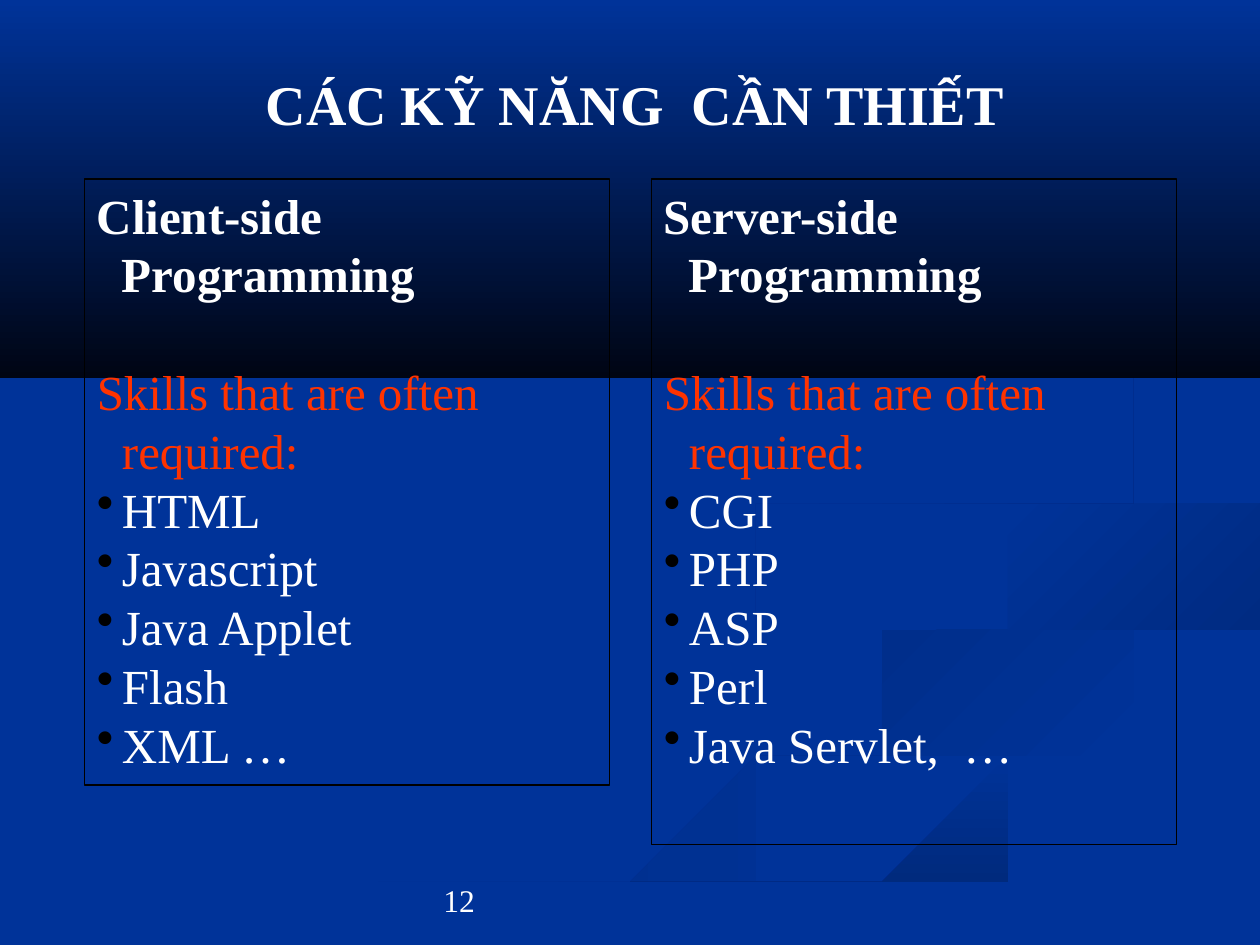
from lxml import etree
from pptx import Presentation
from pptx.dml.color import RGBColor
from pptx.enum.shapes import MSO_SHAPE
from pptx.enum.text import MSO_ANCHOR, PP_ALIGN
from pptx.oxml.ns import qn
from pptx.util import Inches, Pt

RECT = MSO_SHAPE.RECTANGLE
TOP, BOTTOM = MSO_ANCHOR.TOP, MSO_ANCHOR.BOTTOM
LEFT, CENTER = PP_ALIGN.LEFT, PP_ALIGN.CENTER
BLUE = RGBColor(0x00, 0x33, 0x99)
NIGHT = RGBColor(0x00, 0x05, 0x14)
DUSK = RGBColor(0x00, 0x2E, 0x8B)
SHADE = RGBColor(0x00, 0x2B, 0x82)
DEEP = RGBColor(0x00, 0x2A, 0x7D)
WHITE = RGBColor(0xFF, 0xFF, 0xFF)
BLACK = RGBColor(0x00, 0x00, 0x00)
RED = RGBColor(0xFF, 0x33, 0x00)
FONT = "Times New Roman"
SIZE = 28
LEAD = 1.2
STEPS = 6

# Each ribbon: start colour, end colour, clockwise angle, two curved edges
RIBBONS = [
    (DUSK, BLUE, 0,
     [(5.75, 4.59), (6.14, 4.96), (7.3, 5.33), (8, 5.81), (6.5, 6.4),
      (4.99, 6.86), (3.61, 7.49)],
     [(3, 7.49), (4.58, 6.74), (6.52, 6.2), (7.85, 5.66), (6.97, 5.25),
      (5.81, 4.83)]),
    (DUSK, BLUE, 45,
     [(7.24, 4.64), (7.58, 4.98), (8.7, 5.3), (9.42, 5.7), (8.93, 6.04)],
     [(8.93, 6.04), (9.18, 5.81), (8.38, 5.36), (7.46, 5)]),
    (BLUE, DEEP, 90,
     [(5.03, 7.49), (6.3, 6.93), (7.64, 6.47), (9.98, 5.81)],
     [(9.98, 6.09), (7.85, 6.61), (5.71, 7.49)]),
    (BLUE, SHADE, 45,
     [(7.81, 4.6), (8.35, 4.3), (9.98, 4.02)],
     [(9.98, 4.2), (8.78, 4.39), (8.05, 4.72), (8.26, 4.96)]),
    (BLUE, SHADE, 45,
     [(7.62, 2.33), (8.63, 2.91), (8.89, 3.62), (7.86, 4.12), (6.49, 4.36),
      (5.93, 4.7), (6.22, 4.99)],
     [(6.22, 4.99), (5.77, 4.62), (6.49, 4.19), (8.3, 3.82), (8.88, 3.34)]),
    (BLUE, NIGHT, 90, [(0, 0), (9.99, 0)], [(9.99, 3.08), (0, 3.08)]),
]

CARDS = [
    (5.17, 5.28, "Server-side Programming",
     ["CGI", "PHP", "ASP", "Perl", "Java Servlet,  …"]),
    (0.67, 4.81, "Client-side Programming",
     ["HTML", "Javascript", "Java Applet", "Flash", "XML …"]),
]


def curve(knots):
    """Run a Catmull-Rom spline through the knots."""
    ends = [knots[0], *knots, knots[-1]]
    points = [knots[0]]
    for quad in zip(ends, ends[1:], ends[2:], ends[3:]):
        for step in range(1, STEPS + 1):
            t = step / STEPS
            points.append(tuple(
                b + t * (c - a + t * (2 * a - 5 * b + 4 * c - d
                                      + t * (3 * b - a - 3 * c + d))) / 2
                for a, b, c, d in zip(*quad)))
    return points


def add_ribbon(slide, start, end, angle, out, back):
    points = curve(out) + curve(back)
    pen = slide.shapes.build_freeform(*points[0], scale=Inches(1))
    pen.add_line_segments(points[1:], close=True)
    shape = pen.convert_to_shape()
    shape.shadow.inherit = False
    shape.line.fill.background()
    shape.fill.gradient()
    shape.fill.gradient_angle = (360 - angle) % 360
    for stop, color, place in zip(shape.fill.gradient_stops, (start, end), (0, 1)):
        stop.color.rgb = color
        stop.position = place


def style(para, size, color=WHITE, bold=False, align=LEFT):
    para.alignment = align
    para.line_spacing = Pt(round(size * LEAD, 1))
    for run in para.runs:
        font = run.font
        font.name, font.size, font.bold = FONT, Pt(size), bold
        font.color.rgb = color


def hang(para, bullet):
    """Give a hanging indent, with a black bullet if asked for."""
    props = para._p.get_or_add_pPr()
    props.set("marL", str(Inches(0.2)))
    props.set("indent", str(-Inches(0.2)))
    if not bullet:
        etree.SubElement(props, qn("a:buNone"))
        return
    tint = etree.SubElement(props, qn("a:buClr"))
    etree.SubElement(tint, qn("a:srgbClr")).set("val", str(BLACK))
    etree.SubElement(props, qn("a:buChar")).set("char", "•")


def add_card(slide, left, height, head, skills):
    card = slide.shapes.add_shape(
        RECT, Inches(left), Inches(1.42), Inches(4.17), Inches(height))
    card.shadow.inherit = False
    card.fill.background()
    card.line.color.rgb = BLACK
    card.line.width = Pt(0.75)
    frame = card.text_frame
    frame.word_wrap = True
    frame.vertical_anchor = TOP
    frame.text = "\n".join([head, "Skills that are often required:", *skills])
    for index, para in enumerate(frame.paragraphs):
        style(para, SIZE, RED if index == 1 else WHITE, index == 0)
        if index == 0:
            para.space_after = Pt(SIZE * LEAD)
        hang(para, index > 1)


def add_label(slide, box, text, size, bold=False, align=LEFT, anchor=TOP):
    label = slide.shapes.add_textbox(*map(Inches, box))
    frame = label.text_frame
    frame.word_wrap = True
    frame.vertical_anchor = anchor
    frame.text = text
    style(frame.paragraphs[0], size, WHITE, bold, align)


def main():
    deck = Presentation()
    deck.slide_width, deck.slide_height = Inches(10), Inches(7.5)
    slide = deck.slides.add_slide(deck.slide_layouts[6])
    slide.background.fill.solid()
    slide.background.fill.fore_color.rgb = BLUE
    for ribbon in RIBBONS:
        add_ribbon(slide, *ribbon)
    add_label(slide, (3.42, 6.64, 3.16, 0.7), "12", 18, anchor=BOTTOM)
    for card in CARDS:
        add_card(slide, *card)
    add_label(slide, (1.25, 0.5, 7.58, 0.64), "CÁC KỸ NĂNG  CẦN THIẾT", 32, True, CENTER)
    deck.save("out.pptx")


if __name__ == "__main__":
    main()
